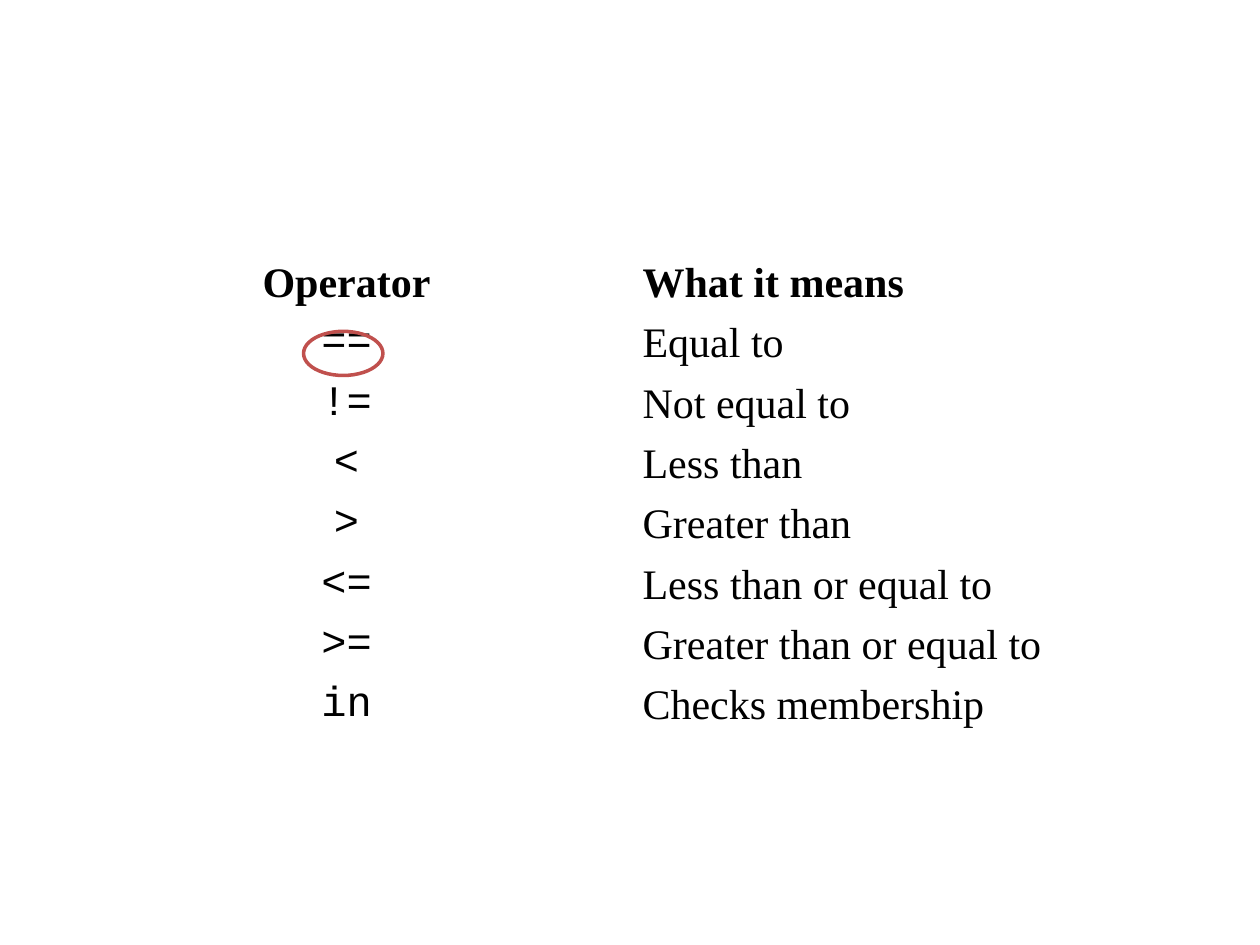
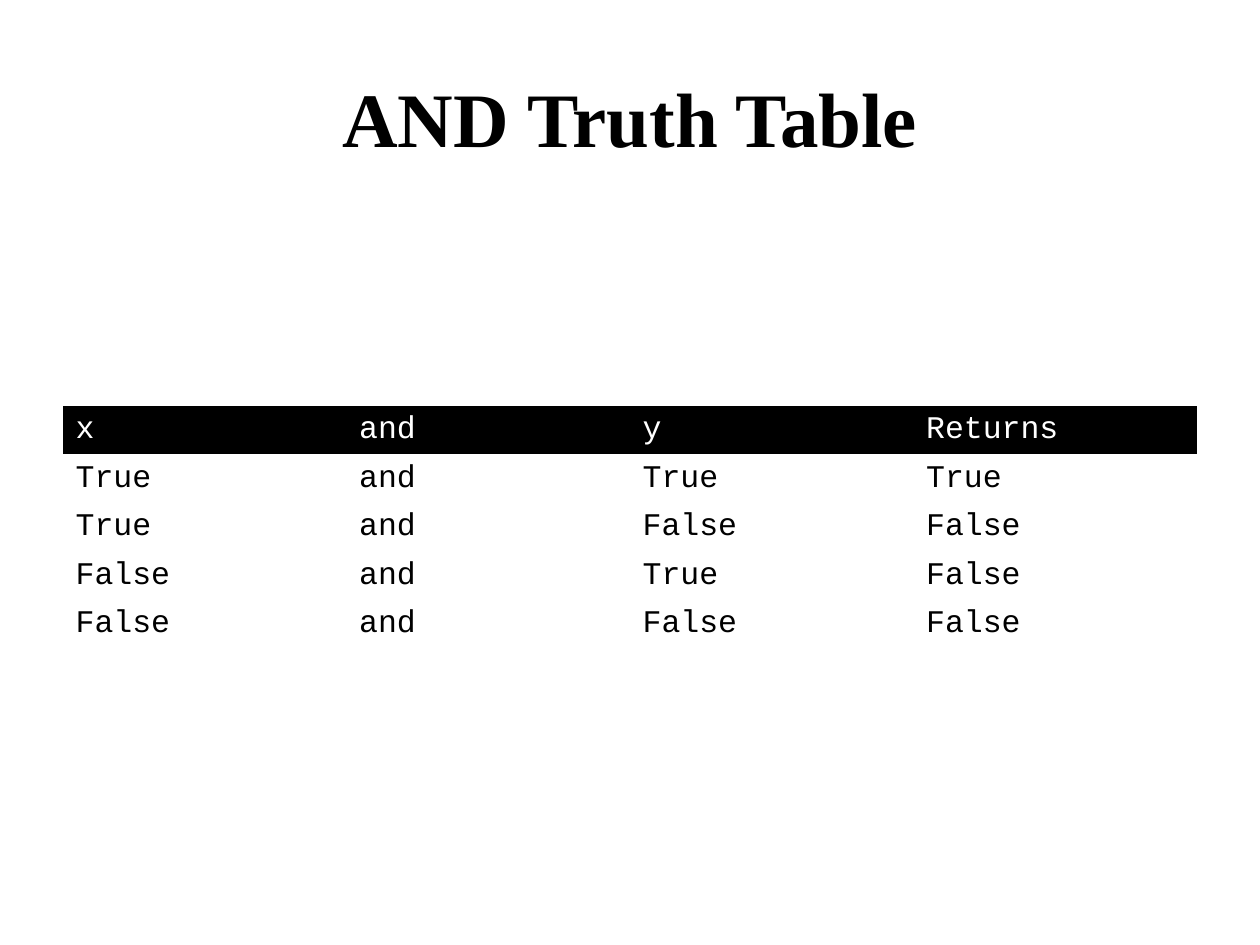
"""Build two slides on Python comparison operators and the AND truth table."""
from dataclasses import dataclass
from typing import Optional

from pptx import Presentation
from pptx.dml.color import RGBColor
from pptx.enum.shapes import MSO_SHAPE
from pptx.enum.text import MSO_ANCHOR, PP_ALIGN
from pptx.oxml.ns import qn
from pptx.util import Cm, Pt

BLACK = RGBColor(0x00, 0x00, 0x00)
WHITE = RGBColor(0xFF, 0xFF, 0xFF)
RED = RGBColor(0xC0, 0x50, 0x4D)
PROSE = "Times New Roman"
CODE = "Courier New"
PLAIN_STYLE_ID = "{2D5ABB26-0587-4C30-8999-92F81FD0307C}"
LEFT, CONTENT_WIDTH = Cm(1.27), Cm(22.86)


@dataclass(frozen=True)
class Lettering:
    font: str
    size: float
    color: RGBColor = BLACK
    bold: bool = False
    align: PP_ALIGN = PP_ALIGN.LEFT


@dataclass(frozen=True)
class Grid:
    top: Cm
    row_height: Cm
    rows: list[tuple[str, ...]]
    header: list[Lettering]
    body: list[Lettering]
    header_fill: Optional[RGBColor] = None


OPERATORS = Grid(
    top=Cm(5.11),
    row_height=Cm(1.21),
    rows=[
        ("Operator", "What it means"),
        ("==", "Equal to"),
        ("!=", "Not equal to"),
        ("<", "Less than"),
        (">", "Greater than"),
        ("<=", "Less than or equal to"),
        (">=", "Greater than or equal to"),
        ("in", "Checks membership"),
    ],
    header=[Lettering(PROSE, 24, bold=True, align=PP_ALIGN.CENTER), Lettering(PROSE, 24, bold=True)],
    body=[Lettering(CODE, 24, align=PP_ALIGN.CENTER), Lettering(PROSE, 24)],
)

AND_TRUTH = Grid(
    top=Cm(8.18),
    row_height=Cm(0.98),
    rows=[("x", "and", "y", "Returns")]
    + [(str(x), "and", str(y), str(x and y)) for x in (True, False) for y in (True, False)],
    header=[Lettering(CODE, 18, WHITE)] * 4,
    body=[Lettering(CODE, 18)] * 4,
    header_fill=BLACK,
)

TITLE = Lettering(PROSE, 44, bold=True, align=PP_ALIGN.CENTER)


def write(text_frame, text: str, lettering: Lettering) -> None:
    paragraph = text_frame.paragraphs[0]
    paragraph.alignment = lettering.align
    run = paragraph.add_run()
    run.text = text
    run.font.name = lettering.font
    run.font.size = Pt(lettering.size)
    run.font.bold = lettering.bold
    run.font.color.rgb = lettering.color


def add_grid(slide, grid: Grid) -> None:
    row_count, column_count = len(grid.rows), len(grid.rows[0])
    table = slide.shapes.add_table(
        row_count, column_count, LEFT, grid.top, CONTENT_WIDTH, grid.row_height * row_count
    ).table
    table.first_row = table.horz_banding = False
    table._tbl.tblPr.find(qn("a:tableStyleId")).text = PLAIN_STYLE_ID
    for row_index, texts in enumerate(grid.rows):
        is_header = row_index == 0
        for column, (text, lettering) in enumerate(zip(texts, grid.header if is_header else grid.body)):
            cell = table.cell(row_index, column)
            cell.vertical_anchor = MSO_ANCHOR.MIDDLE
            if is_header and grid.header_fill is not None:
                cell.fill.solid()
                cell.fill.fore_color.rgb = grid.header_fill
            else:
                cell.fill.background()
            write(cell.text_frame, text, lettering)


def add_title(slide, text: str) -> None:
    title = slide.shapes.title
    title.left, title.top, title.width, title.height = LEFT, Cm(0.76), CONTENT_WIDTH, Cm(3.18)
    title.text_frame.vertical_anchor = MSO_ANCHOR.MIDDLE
    write(title.text_frame, text, TITLE)


def circle_equality(slide) -> None:
    ring = slide.shapes.add_shape(MSO_SHAPE.OVAL, Cm(6.12), Cm(6.68), Cm(1.6), Cm(0.89))
    ring.shadow.inherit = False
    ring.fill.background()
    ring.line.color.rgb = RED
    ring.line.width = Pt(2)


def main() -> None:
    deck = Presentation()
    deck.slide_width, deck.slide_height = Cm(25.4), Cm(19.05)
    title_only, blank = deck.slide_layouts[5], deck.slide_layouts[6]

    operators = deck.slides.add_slide(blank)
    add_grid(operators, OPERATORS)
    circle_equality(operators)

    truth = deck.slides.add_slide(title_only)
    add_title(truth, "AND Truth Table")
    add_grid(truth, AND_TRUTH)

    deck.save("out.pptx")


if __name__ == "__main__":
    main()
